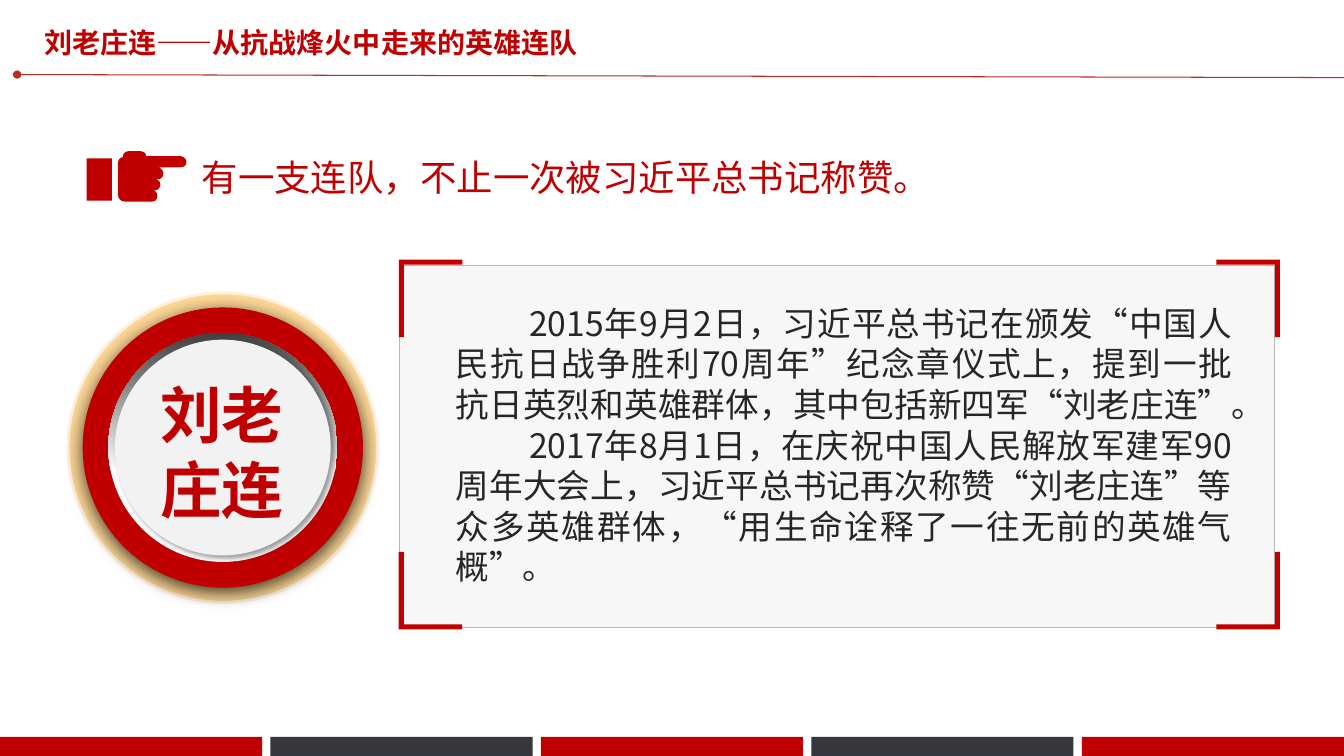
import dataclasses

import lxml.etree
import pptx
import pptx.dml.color
import pptx.enum.shapes
import pptx.enum.text
import pptx.oxml.ns
import pptx.util

TITLE = "刘老庄连——从抗战烽火中走来的英雄连队"
LEAD = "有一支连队，不止一次被习近平总书记称赞。"
BADGE = ["刘老", "庄连"]
STORY = [
    "2015年9月2日，习近平总书记在颁发“中国人民抗日战争胜利70周年”纪念章仪式上，"
    "提到一批抗日英烈和英雄群体，其中包括新四军“刘老庄连”。",
    "2017年8月1日，在庆祝中国人民解放军建军90周年大会上，习近平总书记再次称赞"
    "“刘老庄连”等众多英雄群体，“用生命诠释了一往无前的英雄气概”。",
]
# Pointing hand: pairs are corners, sixes are curves (two handles and an end).
HAND = [
    (1.56, 1.94), (1.56, 1.91, 1.54, 1.89, 1.51, 1.89), (1.53, 1.89),
    (1.57, 1.89, 1.59, 1.86, 1.59, 1.83), (1.59, 1.8, 1.57, 1.78, 1.53, 1.78),
    (1.57, 1.78, 1.62, 1.78, 1.62, 1.72), (1.62, 1.69, 1.59, 1.66, 1.56, 1.66),
    (1.79, 1.66), (1.82, 1.66, 1.85, 1.64, 1.85, 1.61),
    (1.85, 1.58, 1.82, 1.55, 1.79, 1.55), (1.45, 1.55),
    (1.45, 1.52, 1.42, 1.5, 1.39, 1.5), (1.28, 1.5),
    (1.25, 1.5, 1.22, 1.52, 1.22, 1.55), (1.22, 1.56),
    (1.19, 1.56, 1.17, 1.59, 1.17, 1.62), (1.17, 1.93),
    (1.17, 1.97, 1.2, 2, 1.24, 2), (1.51, 2),
    (1.54, 2, 1.56, 1.98, 1.56, 1.94),
]


@dataclasses.dataclass(frozen=True)
class Theme:
    red: str = "C00000"
    rule: str = "B82E24"
    dark: str = "35373C"
    ink: str = "262626"
    pale: str = "F2F2F2"
    edge: str = "B8B8B8"
    gold: str = "FFD998"
    cream: str = "FFF2DD"
    white: str = "FFFFFF"
    shade: str = "404040"
    font: str = "Noto Sans CJK SC"
    title: int = 20
    lead: int = 26
    badge: int = 44
    story: int = 24


THEME = Theme()
WIDE, HIGH = 13.33, 7.5
Inches = pptx.util.Inches
Pt = pptx.util.Pt
qn = pptx.oxml.ns.qn
Kind = pptx.enum.shapes.MSO_SHAPE
Align = pptx.enum.text.PP_ALIGN
Anchor = pptx.enum.text.MSO_ANCHOR


def color(code):
    return pptx.dml.color.RGBColor.from_string(code)


def child(parent, tag, **attrs):
    return lxml.etree.SubElement(
        parent, qn(tag), {key: str(val) for key, val in attrs.items()})


def paint(shape, fill, line=None, width=0.75):
    shape.shadow.inherit = False
    shape.fill.solid()
    shape.fill.fore_color.rgb = color(fill)
    if line:
        shape.line.color.rgb = color(line)
        shape.line.width = Pt(width)
    else:
        shape.line.fill.background()
    return shape


def add(slide, kind, box, fill, line=None, width=0.75):
    shape = slide.shapes.add_shape(kind, *map(Inches, box))
    return paint(shape, fill, line, width)


def ring(slide, mid, size, fill, line=None, width=0.75):
    """Add a circle of the given diameter around a midpoint."""
    x, y = mid
    box = (x - size / 2, y - size / 2, size, size)
    return add(slide, Kind.OVAL, box, fill, line, width)


def shade(shape, alpha, blur, dist, angle):
    """Cast a black shadow; alpha in percent, lengths in points."""
    effect = shape._element.spPr.find(qn("a:effectLst"))
    cast = child(effect, "a:outerShdw", blurRad=Pt(blur), dist=Pt(dist),
                 dir=angle * 60000, algn="ctr", rotWithShape=0)
    tint = child(cast, "a:srgbClr", val="000000")
    child(tint, "a:alpha", val=alpha * 1000)


def write(shape, box, lines, size, tint, bold=False, align=Align.LEFT,
          anchor=Anchor.TOP, indent=0, inset=0.1):
    """Place a text shape and fill it with evenly set paragraphs."""
    shape.left, shape.top, shape.width, shape.height = map(Inches, box)
    frame = shape.text_frame
    frame.word_wrap = True
    frame.auto_size = pptx.enum.text.MSO_AUTO_SIZE.NONE
    frame.vertical_anchor = anchor
    frame.margin_left = frame.margin_right = Inches(inset)
    frame.margin_top = frame.margin_bottom = Inches(0.05)
    frame.text = "\n".join(lines)
    for para in frame.paragraphs:
        para.alignment = align
        para.space_before = para.space_after = Pt(0)
        if len(lines) > 1:
            para.line_spacing = Pt(round(size * 1.2))
        props = para._p.get_or_add_pPr()
        props.set("marL", "0")
        props.set("indent", str(Inches(indent)))
        child(props, "a:buNone")
        para.font.size = Pt(size)
        para.font.bold = bold
        para.font.color.rgb = color(tint)
        para.font.name = THEME.font
        child(props.find(qn("a:defRPr")), "a:ea", typeface=THEME.font)


def label(slide):
    return slide.shapes.add_textbox(0, 0, 0, 0)


def draw_frame(slide):
    """Draw the header rule, the foot bars and the title."""
    rule = slide.shapes.add_connector(
        pptx.enum.shapes.MSO_CONNECTOR.STRAIGHT,
        *map(Inches, (0.17, 0.74, WIDE, 0.77)))
    rule.line.color.rgb = color(THEME.rule)
    rule.line.width = Pt(0.75)
    child(rule._element.spPr.find(qn("a:ln")), "a:headEnd", type="oval")
    child(rule._element.spPr, "a:effectLst")
    count, wide = 5, 2.6
    step = (WIDE - wide) / (count - 1)
    for i in range(count):
        fill = THEME.dark if i % 2 else THEME.red
        add(slide, Kind.RECTANGLE, (i * step, 7.31, wide, 0.19), fill)
    write(slide.shapes.title, (0.34, 0.2, 8.28, 0.44), [TITLE],
          THEME.title, THEME.red, bold=True, anchor=Anchor.MIDDLE)


def draw_badge(slide):
    mid = 2.21, 4.44
    ring(slide, mid, 3.07, THEME.gold, THEME.cream, 2)
    shade(ring(slide, mid, 2.78, THEME.red), 76, 14, 3, 90)
    bevel = ring(slide, mid, 2.27, THEME.white)
    bevel.fill.gradient()
    bevel.fill.gradient_angle = 90
    stops = [(0.39, THEME.white), (1, THEME.shade)]
    for stop, (place, tint) in zip(bevel.fill.gradient_stops, stops):
        stop.position = place
        stop.color.rgb = color(tint)
    shade(ring(slide, mid, 2.14, THEME.pale), 40, 4, 3, 45)
    write(label(slide), (1.49, 3.69, 1.42, 1.58), BADGE, THEME.badge,
          THEME.red, bold=True, align=Align.CENTER)


def draw_panel(slide):
    panel = add(slide, Kind.RECTANGLE, (3.96, 2.63, 8.68, 3.6),
                THEME.pale, THEME.edge)
    tint = panel._element.spPr.find(qn("a:solidFill"))[0]
    child(tint, "a:alpha", val=60000)
    long, short = 0.77, 0.63
    corners = [(4.27, 2.96, 90), (12.38, 2.96, 180),
               (4.27, 5.86, 0), (12.38, 5.86, 270)]
    for x, y, turn in corners:
        w, h = (short, long) if turn % 180 == 0 else (long, short)
        mark = add(slide, Kind.CORNER, (x - w / 2, y - h / 2, w, h),
                   THEME.red)
        mark.adjustments[0] = mark.adjustments[1] = 0.08
        mark.rotation = turn
    body = slide.placeholders[1]
    slide.shapes._spTree.append(body._element)
    write(body, (4.42, 2.95, 7.9, 3.3), STORY, THEME.story, THEME.ink,
          align=Align.JUSTIFY, indent=0.73)


def trace(parts, steps=6):
    """Turn corners and cubic curves into a list of points."""
    points = [parts[0]]
    for part in parts[1:]:
        if len(part) == 2:
            points.append(part)
            continue
        knots = [points[-1], part[:2], part[2:4], part[4:]]
        for i in range(1, steps + 1):
            t = i / steps
            u = 1 - t
            mix = (u ** 3, 3 * u * u * t, 3 * u * t * t, t ** 3)
            points.append(tuple(
                sum(m * knot[axis] for m, knot in zip(mix, knots))
                for axis in (0, 1)))
    return points


def draw_lead(slide):
    write(label(slide), (2, 1.44, 8.4, 0.62), [LEAD], THEME.lead,
          THEME.red, anchor=Anchor.MIDDLE, inset=0)
    points = [(Inches(x), Inches(y)) for x, y in trace(HAND)]
    hand = slide.shapes.build_freeform(*points[0])
    hand.add_line_segments(points[1:], close=True)
    paint(hand.convert_to_shape(), THEME.red)
    add(slide, Kind.RECTANGLE, (0.86, 1.57, 0.25, 0.42), THEME.red)


def main():
    deck = pptx.Presentation()
    deck.slide_width, deck.slide_height = Inches(WIDE), Inches(HIGH)
    slide = deck.slides.add_slide(deck.slide_layouts[1])
    draw_frame(slide)
    draw_badge(slide)
    draw_panel(slide)
    draw_lead(slide)
    deck.save("out.pptx")


if __name__ == "__main__":
    main()
